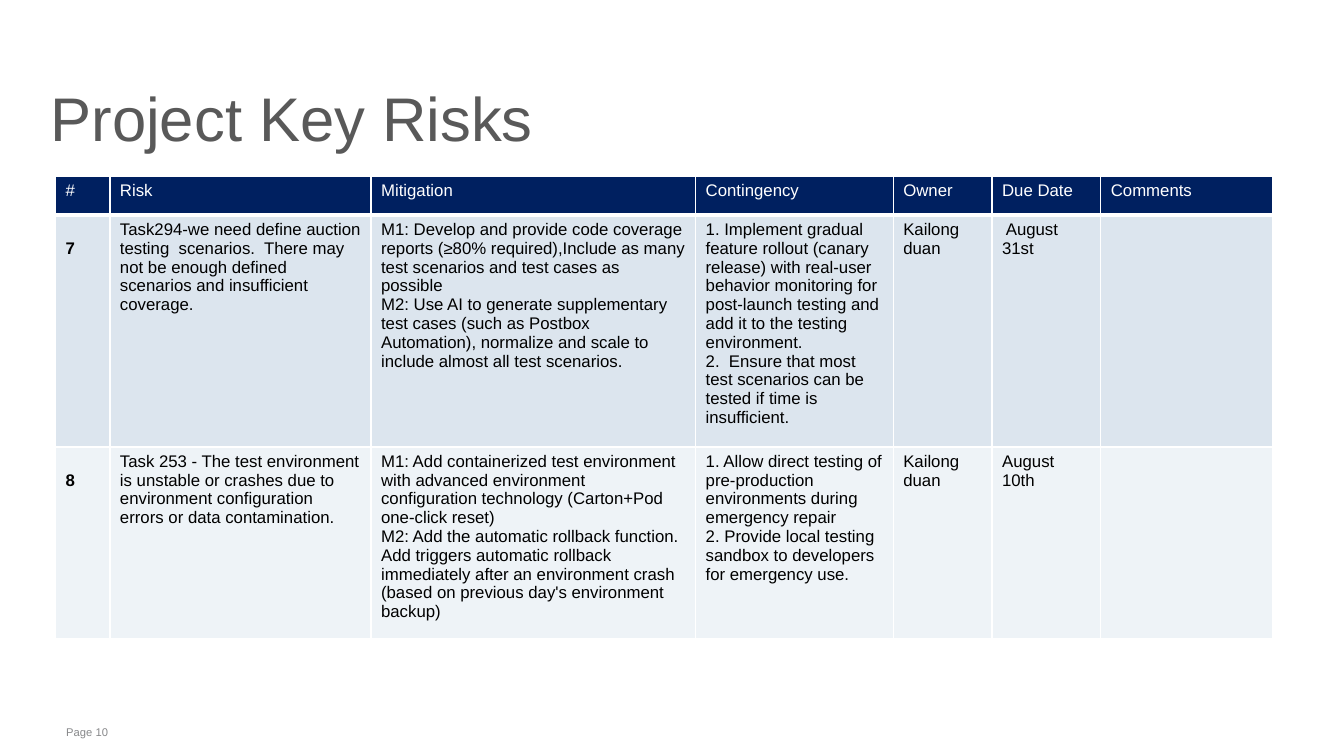
"""Build the project key risks slide."""
from dataclasses import dataclass

from lxml.etree import SubElement as Sub
from pptx import Presentation
from pptx.dml.color import RGBColor as Rgb
from pptx.enum.text import MSO_ANCHOR as Anchor, MSO_AUTO_SIZE as Fit, PP_ALIGN as Align
from pptx.oxml.ns import qn
from pptx.util import Cm, Pt


@dataclass(frozen=True)
class Theme:
    font: str = "Arial"
    title: str = "595959"
    foot: str = "87888A"
    head: str = "002060"
    ink: str = "000000"
    white: str = "FFFFFF"
    bands: tuple = ("DCE5EE", "EEF3F7")
    big: int = 44
    body: int = 12
    small: int = 8
    thin: int = 1
    thick: int = 3


THEME = Theme()
WIDTHS = (1.37, 6.58, 8.18, 4.98, 2.49, 2.74, 4.34)
HEIGHTS = (0.97, 5.84, 4.8)
HEADS = ("#", "Risk", "Mitigation", "Contingency", "Owner", "Due Date", "Comments")
RISKS = (
    (
        "7",
        "Task294-we need define auction testing  scenarios.  There may not be "
        "enough defined scenarios and insufficient coverage.",
        "M1: Develop and provide code coverage reports (≥80% required),Include "
        "as many test scenarios and test cases as possible\n"
        "M2: Use AI to generate supplementary test cases (such as Postbox "
        "Automation), normalize and scale to include almost all test scenarios.",
        "1. Implement gradual feature rollout (canary release) with real-user "
        "behavior monitoring for post-launch testing and add it to the testing "
        "environment.\n"
        "2.  Ensure that most test scenarios can be tested if time is insufficient.",
        "Kailong duan",
        " August 31st",
        "",
    ),
    (
        "8",
        "Task 253 - The test environment is unstable or crashes due to "
        "environment configuration errors or data contamination.",
        "M1: Add containerized test environment with advanced environment "
        "configuration technology (Carton+Pod one-click reset)\n"
        "M2: Add the automatic rollback function. Add triggers automatic rollback "
        "immediately after an environment crash (based on previous day's "
        "environment backup)",
        "1. Allow direct testing of pre-production environments during emergency repair\n"
        "2. Provide local testing sandbox to developers for emergency use.",
        "Kailong duan",
        "August 10th",
        "",
    ),
)


def style(frame, size, color, bold=False):
    for para in frame.paragraphs:
        para.alignment = Align.LEFT
        font = para.font
        font.name, font.size, font.bold = THEME.font, Pt(size), bold
        font.color.rgb = Rgb.from_string(color)


def place(shape, left, top, width, height):
    shape.left, shape.top = Cm(left), Cm(top)
    shape.width, shape.height = Cm(width), Cm(height)


def add_title(slide, text):
    shape = slide.shapes.title
    place(shape, 1.02, 1.88, 29.67, 2.13)
    frame = shape.text_frame
    frame.text = text
    frame.auto_size = Fit.NONE
    frame.vertical_anchor = Anchor.BOTTOM
    style(frame, THEME.big, THEME.title)


def add_foot(slide, text):
    box = slide.shapes.add_textbox(Cm(1.47), Cm(18.14), Cm(27.41), Cm(0.61))
    frame = box.text_frame
    frame.text = text
    frame.word_wrap = True
    frame.margin_left = frame.margin_right = Cm(0.2)
    frame.vertical_anchor = Anchor.MIDDLE
    style(frame, THEME.small, THEME.foot)


def edge(cell, row):
    props = cell._tc.get_or_add_tcPr()
    for side in "LRTB":
        heavy = (row, side) in ((0, "B"), (1, "T"))
        width = THEME.thick if heavy else THEME.thin
        line = Sub(props, qn(f"a:ln{side}"), w=str(Pt(width)))
        fill = Sub(line, qn("a:solidFill"))
        Sub(fill, qn("a:srgbClr"), val=THEME.white)


def fill_cell(cell, text, row, col):
    head = row == 0
    mark = col == 0 and not head
    cell.text = text
    style(cell.text_frame, THEME.body, THEME.white if head else THEME.ink, mark)
    if mark:
        cell.margin_top = Cm(0.6)
    edge(cell, row)
    cell.fill.solid()
    tint = THEME.head if head else THEME.bands[(row - 1) % 2]
    cell.fill.fore_color.rgb = Rgb.from_string(tint)


def add_grid(slide, rows):
    shape = slide.shapes.add_table(
        len(rows), len(WIDTHS), Cm(1.4), Cm(4.45), Cm(sum(WIDTHS)), Cm(sum(HEIGHTS))
    )
    table = shape.table
    for col, width in zip(table.columns, WIDTHS):
        col.width = Cm(width)
    for row, height in zip(table.rows, HEIGHTS):
        row.height = Cm(height)
    for row, texts in enumerate(rows):
        for col, text in enumerate(texts):
            fill_cell(table.cell(row, col), text, row, col)


def main():
    deck = Presentation()
    deck.slide_width, deck.slide_height = Cm(33.87), Cm(19.05)
    slide = deck.slides.add_slide(deck.slide_layouts.get_by_name("Title Only"))
    add_foot(slide, "Page 10")
    add_title(slide, "Project Key Risks")
    add_grid(slide, (HEADS, *RISKS))
    deck.save("out.pptx")


if __name__ == "__main__":
    main()
